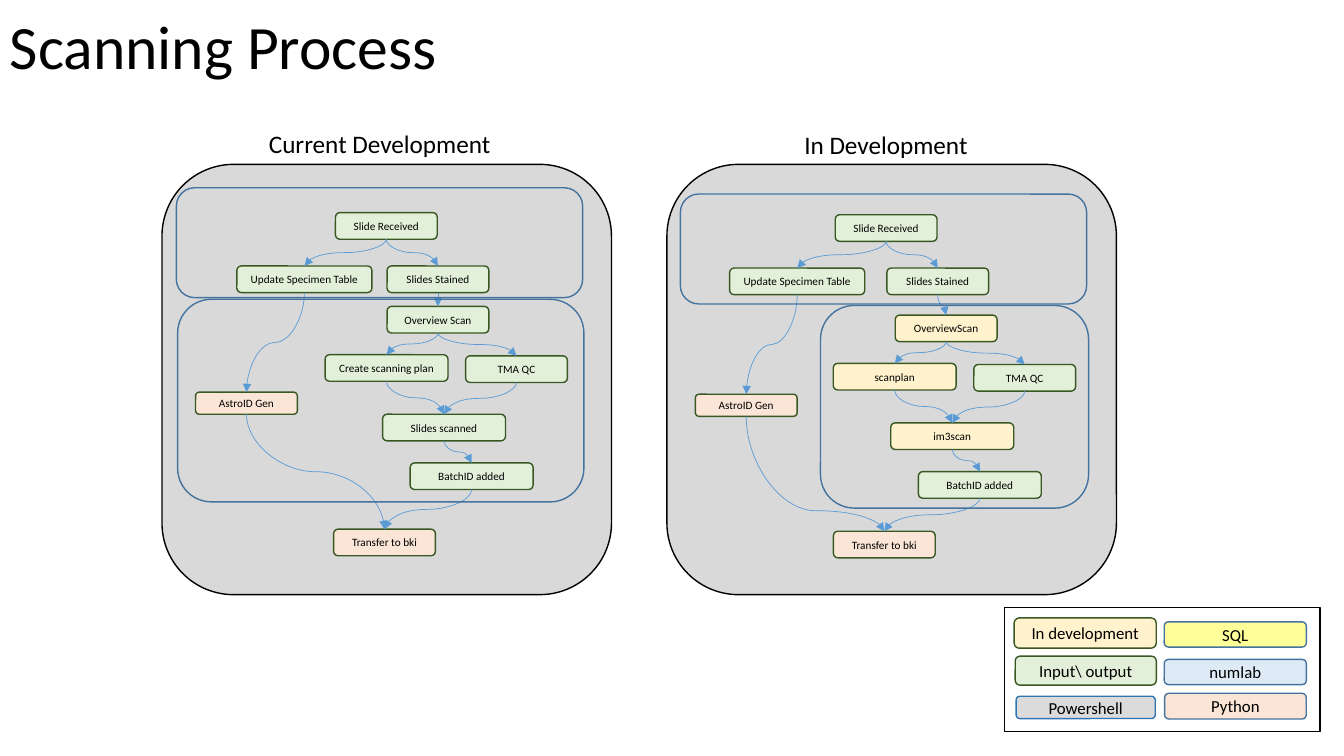
from lxml import etree
from pptx import Presentation
from pptx.dml.color import RGBColor
from pptx.enum.shapes import MSO_CONNECTOR, MSO_SHAPE
from pptx.enum.text import MSO_ANCHOR, PP_ALIGN
from pptx.oxml.ns import qn
from pptx.util import Pt

FONT = "Calibri"
GREEN, PEACH, CREAM = "E2F0D9", "FBE5D6", "FFF2CC"
GREY, BLACK, WHITE = "D9D9D9", "000000", "FFFFFF"
DARK_GREEN, BLUE, ARROW = "385723", "43739E", "5B9BD5"

STEPS = {
    "update": ("Update Specimen Table", GREEN, 169.2, 190, 96.5, 19),
    "astro": ("AstroID Gen", PEACH, 139.7, 280.1, 72.7, 15.8),
    "transfer": ("Transfer to bki", PEACH, 238.3, 378, 72.7, 19),
    "overview": ("Overview Scan", GREEN, 276.5, 218.9, 72.7, 19),
    "received": ("Slide Received", GREEN, 239.6, 151.9, 72.7, 19),
    "stained": ("Slides Stained", GREEN, 276.5, 190, 72.7, 19),
    "tma": ("TMA QC", GREEN, 332.6, 254.2, 72.7, 19),
    "plan": ("Create scanning plan", GREEN, 232.2, 253.4, 87.8, 19),
    "scanned": ("Slides scanned", GREEN, 273.3, 295.9, 87.8, 19),
    "batch": ("BatchID added", GREEN, 293, 330.7, 87.8, 19),
}
ARROWS = [
    ("received", "update"), ("received", "stained"), ("update", "astro"),
    ("astro", "transfer"), ("stained", "overview"), ("overview", "tma"),
    ("overview", "plan"), ("plan", "scanned"), ("scanned", "batch"),
    ("batch", "transfer"), ("tma", "scanned"),
]
SCAN_STEPS = ("overview", "tma", "plan", "scanned", "batch")
NEW_SCAN_NAMES = {"overview": "OverviewScan", "plan": "scanplan", "scanned": "im3scan"}
STAGES = [
    (586.1, 218.2, 191.5, 144.7), (486, 138.6, 290.2, 78.5),
    (126.9, 213.8, 290.2, 144.7), (126, 134.1, 290.2, 78.5),
]
TEXTS = [
    ("Scanning Process", 44, 0, 0.7, 552.2, 69.8),
    ("Current Development", 18, 185, 87.8, 216, 28.8),
    ("In Development", 18, 567.4, 88.6, 138.2, 28.8),
]
LEGEND = [
    ("In development", CREAM, DARK_GREEN, 724.4, 441.4, 101.5, 21.6),
    ("Input\\ output", GREEN, DARK_GREEN, 725.2, 468.7, 100.8, 20.7),
    ("Powershell", "DBDBDB", "2E75B6", 725.8, 497.3, 99.4, 16),
    ("SQL", "FFFF99", BLUE, 831.6, 444.2, 101.5, 18),
    ("numlab", "DEEBF7", BLUE, 831.6, 471, 101.5, 18),
    ("Python", PEACH, BLUE, 831.9, 495.2, 101.2, 18.4),
]


def rgb(value):
    return RGBColor.from_string(value)


def add_box(shapes, box, fill, line, text="", size=8, kind=MSO_SHAPE.ROUNDED_RECTANGLE):
    sp = shapes.add_shape(kind, *map(Pt, box))
    sp.shadow.inherit = False
    if fill:
        sp.fill.solid()
        sp.fill.fore_color.rgb = rgb(fill)
    else:
        sp.fill.background()
    sp.line.color.rgb = rgb(line)
    sp.line.width = Pt(1)
    if text:
        tf = sp.text_frame
        tf.word_wrap = True
        tf.vertical_anchor = MSO_ANCHOR.MIDDLE
        tf.margin_left = tf.margin_right = tf.margin_top = tf.margin_bottom = 0
        style(tf.paragraphs[0], text, size).alignment = PP_ALIGN.CENTER
    return sp


def style(p, text, size):
    p.text = text
    p.font.name = FONT
    p.font.size = Pt(size)
    p.font.color.rgb = rgb(BLACK)
    return p


def add_arrow(shapes, start, end, bend=None):
    x1, y1 = start.left + start.width // 2, start.top + start.height
    x2, y2 = end.left + end.width // 2, end.top
    cxn = shapes.add_connector(MSO_CONNECTOR.CURVE, x1, y1, x2, y2)
    cxn.begin_connect(start, 2)
    cxn.end_connect(end, 0)
    run, drop = abs(x2 - x1), y2 - y1
    cxn.left, cxn.top = (x1 + x2 - drop) // 2, (y1 + y2 - run) // 2
    cxn.width, cxn.height = drop, run
    cxn.line.color.rgb = rgb(ARROW)
    cxn.line.width = Pt(0.5)
    props = cxn._element.spPr
    xfrm = props.find(qn("a:xfrm"))
    rightward = x2 > x1
    xfrm.set("rot", str((270 if rightward else 90) * 60000))
    xfrm.set("flipH", "1" if rightward else "0")
    etree.SubElement(props.find(qn("a:ln")), qn("a:tailEnd"), type="triangle")
    etree.SubElement(props, qn("a:effectLst"))
    if bend:
        guides = props.find(qn("a:prstGeom")).find(qn("a:avLst"))
        etree.SubElement(guides, qn("a:gd"), name="adj1", fmla=f"val {bend}")


def add_flow(left, in_development):
    shapes = slide.shapes.add_group_shape().shapes
    add_box(shapes, (left, 117.4, 321.1, 307.4), GREY, BLACK)
    boxes = {}
    for key, (text, fill, x, y, w, h) in STEPS.items():
        if in_development:
            dx, dy = (363, 6.2) if key in SCAN_STEPS else (357, 1.5)
            x, y = x + (352 if key == "update" else dx), y + dy
            if key in NEW_SCAN_NAMES:
                text, fill = NEW_SCAN_NAMES[key], CREAM
        boxes[key] = add_box(shapes, (x, y, w, h), fill, DARK_GREEN, text)
    for start, end in ARROWS:
        bend = 82100 if in_development and start == "astro" else None
        add_arrow(shapes, boxes[start], boxes[end], bend)


prs = Presentation()
prs.slide_width, prs.slide_height = Pt(960), Pt(540)
slide = prs.slides.add_slide(prs.slide_layouts[6])

add_flow(115.7, False)
add_flow(476.4, True)

legend = slide.shapes.add_group_shape().shapes
add_box(legend, (717.6, 434, 225.4, 88.6), WHITE, BLACK, kind=MSO_SHAPE.RECTANGLE)
for text, fill, line, *box in LEGEND:
    add_box(legend, box, fill, line, text, 12)

for stage in STAGES:
    add_box(slide.shapes, stage, None, BLUE)

for text, size, *box in TEXTS:
    tf = slide.shapes.add_textbox(*map(Pt, box)).text_frame
    tf.word_wrap = True
    tf.vertical_anchor = MSO_ANCHOR.MIDDLE
    p = style(tf.paragraphs[0], text, size)
    if size == 44:
        p.line_spacing = 0.9

prs.save("out.pptx")
